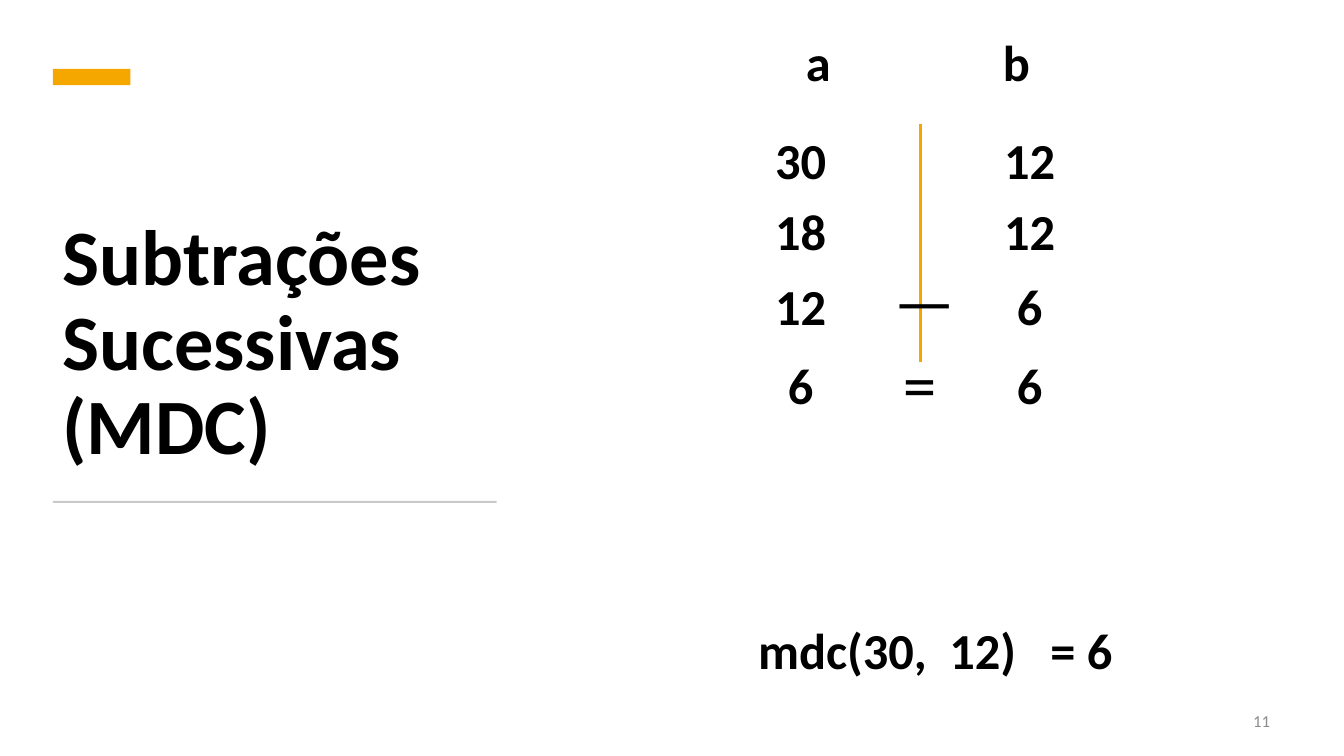
from pptx import Presentation
from pptx.dml.color import RGBColor
from pptx.enum import shapes, text
from pptx.oxml.ns import qn
from pptx.util import Pt
from lxml import etree

HUES = {"ink": "000000", "gold": "F5A700", "rule": "C9C9C9", "gray": "8C8C8C"}
LEFT, MID, RIGHT = text.PP_ALIGN.LEFT, text.PP_ALIGN.CENTER, text.PP_ALIGN.RIGHT
TOP, CORE, LOW = text.MSO_ANCHOR.TOP, text.MSO_ANCHOR.MIDDLE, text.MSO_ANCHOR.BOTTOM


def hue(name):
    return RGBColor.from_string(HUES[name])


def write(box, words, size=36, bold=True, align=MID, anchor=TOP, ink="ink", tabs=()):
    frame = box.text_frame
    frame.word_wrap = True
    frame.vertical_anchor = anchor
    frame.text = words
    para = frame.paragraphs[0]
    para.alignment = align
    if tabs:
        stops = etree.SubElement(para._p.get_or_add_pPr(), qn("a:tabLst"))
        for stop in tabs:
            etree.SubElement(stops, qn("a:tab"), pos=str(Pt(stop)), algn="l")
    font = para.runs[0].font
    looks = {"name": "Calibri", "size": Pt(size), "bold": bold}
    for key, value in looks.items():
        setattr(font, key, value)
    font.color.rgb = hue(ink)
    return para


deck = Presentation()
deck.slide_width, deck.slide_height = Pt(960), Pt(540)
slide = deck.slides.add_slide(deck.slide_layouts[0])
sub = slide.placeholders[1].element
sub.getparent().remove(sub)

bars = [("gold", 37.8, 49.3, 55.4, 11.5), ("rule", 37.8, 357.8, 317, 1.4)]
for name, *area in bars:
    bar = slide.shapes.add_shape(shapes.MSO_SHAPE.RECTANGLE, *map(Pt, area))
    bar.shadow.inherit = False
    bar.fill.solid()
    bar.fill.fore_color.rgb = hue(name)
    bar.line.fill.background()

wall = slide.shapes.add_connector(
    shapes.MSO_CONNECTOR.STRAIGHT, Pt(657.4), Pt(88.6), Pt(657.4), Pt(258.5))
wall.line.color.rgb = hue("gold")
wall.line.width = Pt(2.25)
etree.SubElement(wall._element.spPr, qn("a:effectLst"))

title = slide.shapes.title
title.left, title.top, title.width, title.height = map(Pt, (37.4, 88.6, 317, 252))
head = write(title, "Subtrações Sucessivas (MDC)", 56, align=LEFT, anchor=LOW)
head.line_spacing = 0.9

steps = [(88.5, "30", "12"), (139.5, "18", "12"), (193, "12", "6"), (249.5, "6", "6")]
items = []
for top, *pair in steps:
    for left, value in zip((530.5, 694), pair):
        items.append(((left, top, 83, 51), value, {}))
for top, sign in [(180.7, "—"), (241.2, "=")]:
    items.append(((631.4, top, 51, 65.5), sign, {"size": 48, "bold": False}))
items += [
    ((568.5, 18.7, 200, 51), "a\tb", {"align": LEFT, "tabs": [140.7]}),
    ((534.5, 438.5, 294, 51), "mdc(30,\t12)\t= 6",
     {"align": LEFT, "tabs": [136.6, 208.8]}),
    ((698.4, 500.4, 216, 28.8), "11",
     {"size": 12, "bold": False, "align": RIGHT, "anchor": CORE, "ink": "gray"}),
]
for area, words, style in items:
    write(slide.shapes.add_textbox(*map(Pt, area)), words, **style)

deck.save("out.pptx")
